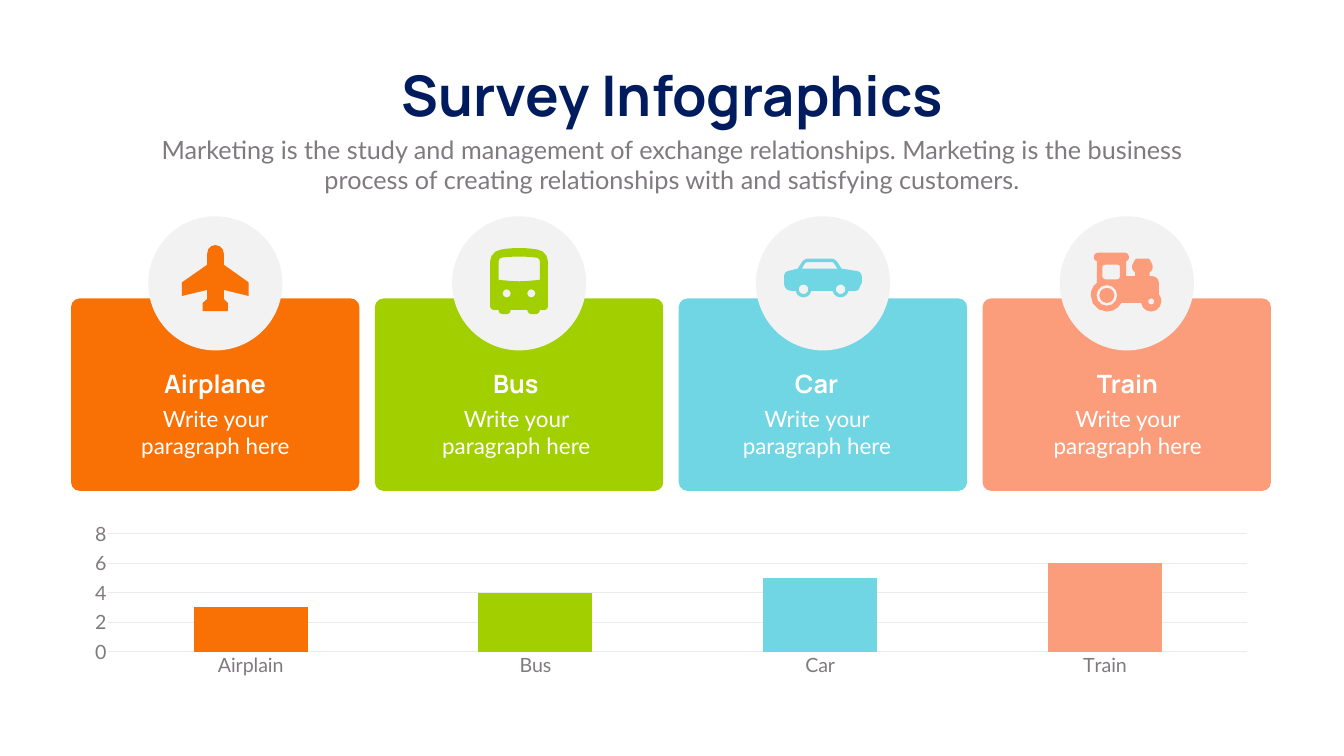
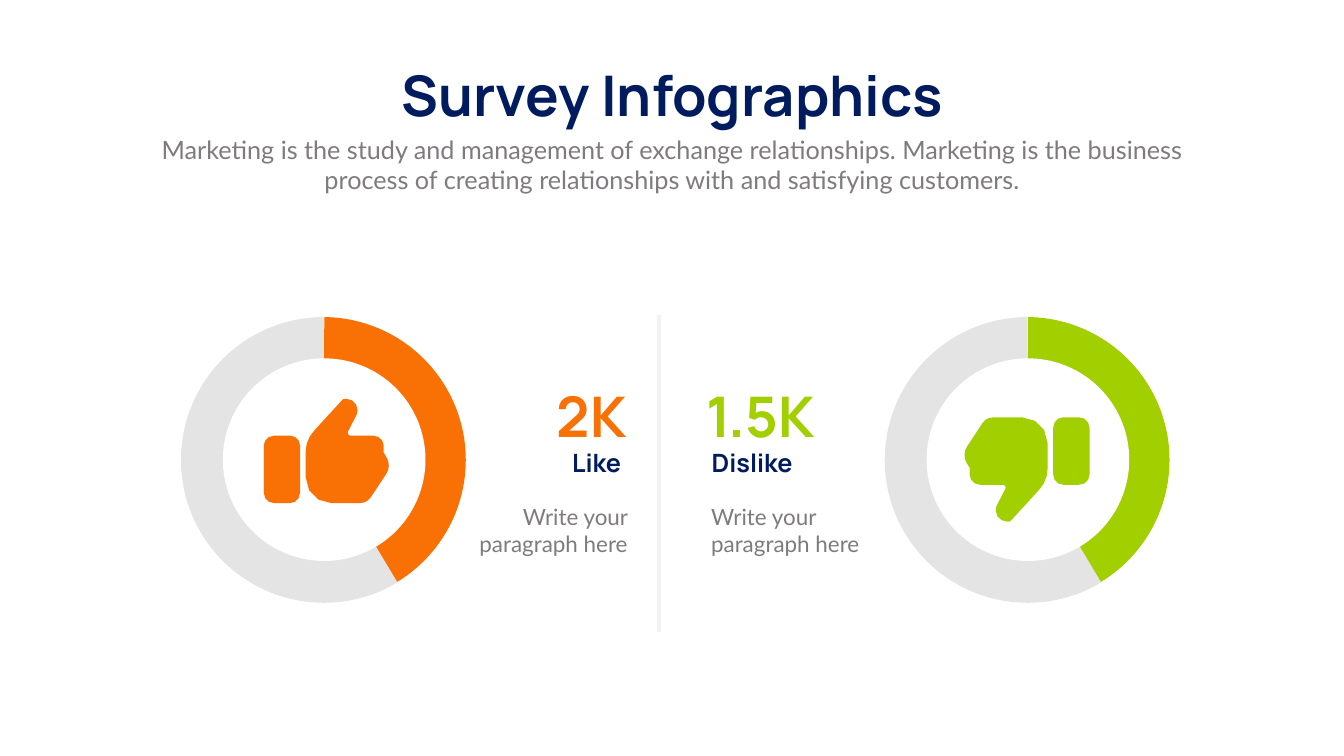
from dataclasses import dataclass
from math import cos, pi, sin

from lxml.etree import SubElement
from pptx import Presentation
from pptx.chart.data import CategoryChartData
from pptx.dml.color import RGBColor
from pptx.enum.chart import XL_CHART_TYPE, XL_TICK_MARK
from pptx.enum.shapes import MSO_CONNECTOR, MSO_SHAPE
from pptx.enum.text import MSO_AUTO_SIZE, PP_ALIGN
from pptx.oxml.ns import qn
from pptx.util import Cm, Pt


@dataclass(frozen=True)
class Theme:
    """Colours, fonts and type sizes shared by the slides."""
    navy: str = "001C5E"
    gray: str = "7F7A7E"
    white: str = "FFFFFF"
    orange: str = "F97104"
    green: str = "A1CF00"
    cyan: str = "70D6E4"
    salmon: str = "FB9D7B"
    disc: str = "F2F2F2"
    track: str = "E5E4E5"
    grid: str = "ECEBEC"
    heading: str = "Manrope"
    body: str = "Lato"
    title_size: int = 80
    label_size: int = 36
    text_size: int = 32
    axis_size: int = 28


THEME = Theme()
ICON_UNIT = Cm(2.54) / 100
TITLE = "Survey Infographics"
SUBTITLE = ("Marketing is the study and management of exchange relationships. "
            "Marketing is the business process of creating relationships with "
            "and satisfying customers.")
FILLER = "Write your paragraph here"

AIRPLANE = ((
    "132,101 132,74 83,39 83,17 83,7,75,0,66,0 57,0,50,7,50,17 50,39 0,74 0,101 "
    "50,89 50,107 41,115 41,131 91,131 91,115 83,107 83,89",
),)
BUS = ((
    "94,3 82,1,70,0,58,0 46,0,33,1,22,3 10,4,0,15,0,27 0,115 0,120,4,123,9,123 "
    "17,123 17,128,20,131,25,131 33,131 38,131,41,128,41,123 74,123 "
    "74,128,78,131,82,131 91,131 95,131,99,128,99,123 107,123 "
    "112,123,115,120,115,115 115,27 115,15,106,4,94,3",
    "24,19 31,18,43,17,58,17 72,17,84,18,92,19 96,19,99,23,99,27 99,63 "
    "89,64,72,66,58,66 43,66,26,64,17,63 17,27 17,23,20,19,24,19",
    "33,90,8", "82,90,8",
),)
CAR = ((
    "146,25 114,20 105,6 102,3,98,0,94,0 47,0 43,0,39,3,36,6 27,20 7,25 "
    "3,26,0,30,0,34 0,50 0,54,2,58,4,60 7,63,11,64,14,64 23,64 "
    "24,72,31,77,38,77 46,77,53,72,54,64 96,64 98,72,104,77,112,77 "
    "120,77,126,72,128,64 142,64 144,64,147,63,148,61 154,48 154,35 "
    "154,30,150,26,146,25",
    "35,20 41,10 43,8,45,7,47,7 94,7 96,7,98,8,99,10 106,20",
    "38.5,61,9.5", "112,61,9.5",
),)
TRAIN = (("32,85,15",), (
    "135,83 135,59 135,52,129,47,123,47 117,47 117,39 121,37,123,33,123,29 "
    "123,27,122,25,122,23 117,14 116,13,115,12,114,12 91,12 90,12,89,13,88,14 "
    "83,23 82,25,82,27,82,29 82,33,84,37,88,39 88,47 70,47 70,17 "
    "74,16,76,13,76,9 76,4,72,0,67,0 15,0 10,0,6,4,6,9 6,13,8,16,12,17 12,60 "
    "4,66,0,75,0,85 0,103,14,117,32,117 45,117,55,110,61,100 100,100 "
    "101,110,110,117,120,117 131,117,140,108,140,97 140,91,138,86,135,83",
    "58,47 58,50,56,53,53,53 29,53 26,53,23,50,23,47 23,29 23,26,26,24,29,24 "
    "53,24 56,24,58,26,58,29",
    "32,85,20.5", "120,97,6",
))
THUMB_UP = ((
    "243,115 238,107 238,93 238,82,228,73,217,73 172,73 169,73,168,71,167,70 "
    "167,69,166,67,167,65 184,32 185,29,186,26,186,22 186,10,176,0,164,0 160,0 "
    "159,0,157,1,156,2 101,62 89,74,83,90,83,107 83,155 83,184,106,207,134,207 "
    "190,207 199,207,207,203,212,196 243,149 246,144,248,138,248,132 "
    "248,126,246,120,243,115",
), (
    "52,73 21,73 9,73,0,82,0,93 0,186 0,198,9,207,21,207 52,207 "
    "63,207,72,198,72,186 72,93 72,82,63,73,52,73",
))
THUMB_SIZE = (248, 207)


def turn_over(contour):
    """Turn a contour of the thumb by half a circle."""
    steps = []
    for step in contour.split():
        values = step.split(",")
        steps.append(",".join(str(THUMB_SIZE[n % 2] - int(v)) for n, v in enumerate(values)))
    return " ".join(steps)


THUMB_DOWN = tuple(tuple(map(turn_over, part)) for part in THUMB_UP)


@dataclass(frozen=True)
class Card:
    """One means of transport and the offsets of its icon and label."""
    name: str
    category: str
    votes: int
    color: str
    icon: tuple
    icon_left: float
    icon_top: float
    label_left: float


@dataclass(frozen=True)
class Verdict:
    """One side of the vote: ring, thumb and text positions."""
    count: str
    label: str
    color: str
    ring_left: float
    thumb: tuple
    thumb_at: tuple
    count_left: float
    count_width: float
    label_left: float
    words_left: float
    align: PP_ALIGN


CARDS = (
    Card("Airplane", "Airplain", 3, THEME.orange, AIRPLANE, 1.7, 1.45, 2.16),
    Card("Bus", "Bus", 4, THEME.green, BUS, 1.91, 1.6, 2.01),
    Card("Car", "Car", 5, THEME.cyan, CAR, 1.42, 2.13, 1.85),
    Card("Train", "Train", 6, THEME.salmon, TRAIN, 1.56, 1.83, 2.2),
)
VERDICTS = (
    Verdict("1.5K", "Dislike", THEME.green, 44.53, THUMB_DOWN, (4.07, 5.05),
            35.2, 6.22, 35.61, 35.58, PP_ALIGN.LEFT),
    Verdict("2K", "Like", THEME.orange, 9.07, THUMB_UP, (4.22, 4.12),
            27.76, 4.11, 24.36, 22.13, PP_ALIGN.RIGHT),
)


def rgb(color):
    """Turn a hex string into a colour."""
    return RGBColor.from_string(color)


def paint(shape, color):
    """Give a shape a flat fill without line or shadow."""
    shape.shadow.inherit = False
    shape.fill.solid()
    shape.fill.fore_color.rgb = rgb(color)
    shape.line.fill.background()
    return shape


def style(font, name, size, color, bold=False):
    """Set the face, size, colour and weight of a font."""
    font.name, font.size, font.bold = name, Pt(size), bold
    font.color.rgb = rgb(color)


def add_preset(shapes, kind, left, top, width, height, color):
    """Add a flat preset shape."""
    return paint(shapes.add_shape(kind, Cm(left), Cm(top), Cm(width), Cm(height)), color)


def add_text(page, text, box, font, size, color, bold=False,
             align=PP_ALIGN.CENTER, wrap=True):
    """Add one paragraph of text in a box."""
    frame = page.shapes.add_textbox(*map(Cm, box)).text_frame
    frame.word_wrap = wrap
    frame.auto_size = MSO_AUTO_SIZE.SHAPE_TO_FIT_TEXT
    para = frame.paragraphs[0]
    para.text, para.alignment = text, align
    style(para.font, font, size, color, bold)


def trace(contour, steps=3):
    """List the points of a contour: pairs are corners, triples circles, sixes curves."""
    points = []
    for step in contour.split():
        values = [float(value) for value in step.split(",")]
        if len(values) == 2:
            points.append(tuple(values))
        elif len(values) == 3:
            x, y, radius = values
            turns = [2 * pi * n / (4 * steps) for n in range(4 * steps)]
            points += [(x + radius * cos(a), y + radius * sin(a)) for a in turns]
        else:
            ends = [points[-1], *zip(values[::2], values[1::2])]
            for n in range(1, steps + 1):
                t = n / steps
                weights = ((1 - t) ** 3, 3 * t * (1 - t) ** 2, 3 * t * t * (1 - t), t ** 3)
                points.append(tuple(sum(w * end[axis] for w, end in zip(weights, ends))
                                    for axis in (0, 1)))
    return [(round(x * ICON_UNIT), round(y * ICON_UNIT)) for x, y in points]


def add_icon(page, icon, left, top, color):
    """Draw each part of an icon from its contours, inner ones being holes."""
    for part in icon:
        outer, *holes = map(trace, part)
        builder = page.shapes.build_freeform(*outer[0])
        builder.add_line_segments(outer[1:], close=True)
        for hole in holes:
            builder.move_to(*hole[0])
            builder.add_line_segments(hole[1:], close=True)
        paint(builder.convert_to_shape(Cm(left), Cm(top)), color)


def add_header(page):
    """Add the title and the introduction."""
    add_text(page, TITLE, (18.86, 2.93, 30.05, 3.68), THEME.heading,
             THEME.title_size, THEME.navy, bold=True, wrap=False)
    add_text(page, SUBTITLE, (7.42, 6.63, 52.88, 3.33), THEME.body,
             THEME.label_size, THEME.gray)


def add_card(page, card, left, top):
    """Add a coloured card with its disc, icon and text."""
    panel = add_preset(page.shapes, MSO_SHAPE.ROUNDED_RECTANGLE,
                       left, top, 14.53, 9.7, card.color)
    panel.adjustments[0] = 0.045
    disc_left, disc_top = left + 3.89, top - 4.14
    add_preset(page.shapes, MSO_SHAPE.OVAL, disc_left, disc_top, 6.76, 6.76, THEME.disc)
    add_icon(page, card.icon, disc_left + card.icon_left, disc_top + card.icon_top, card.color)
    label_left = left + card.label_left
    add_text(page, card.name, (label_left, top + 3.41, 10.19, 1.8), THEME.heading,
             THEME.label_size, THEME.white, bold=True)
    add_text(page, FILLER, (label_left + 0.38, top + 5.25, 9.47, 3), THEME.body,
             THEME.text_size, THEME.white)


def add_votes_chart(page, left, top, width, height):
    """Add the column chart with one colour per card."""
    data = CategoryChartData()
    data.categories = [card.category for card in CARDS]
    data.add_series("Series 1", [card.votes for card in CARDS])
    chart = page.shapes.add_chart(XL_CHART_TYPE.COLUMN_STACKED, Cm(left), Cm(top),
                                  Cm(width), Cm(height), data).chart
    chart.has_legend = chart.has_title = False
    style(chart.font, "Quicksand", 20, THEME.gray)
    plot = chart.plots[0]
    plot.gap_width, plot.overlap, plot.vary_by_categories = 150, 100, False
    series = plot.series[0]
    fills = [series.format.fill, *(series.points[n].format.fill for n in range(len(CARDS)))]
    for fill, color in zip(fills, (THEME.cyan, *(card.color for card in CARDS))):
        fill.solid()
        fill.fore_color.rgb = rgb(color)
    categories, values = chart.category_axis, chart.value_axis
    for axis in (categories, values):
        axis.major_tick_mark = axis.minor_tick_mark = XL_TICK_MARK.NONE
        style(axis.tick_labels.font, THEME.body, THEME.axis_size, THEME.gray)
    values.minimum_scale, values.maximum_scale, values.major_unit = 0, 8, 2
    values.has_major_gridlines = True
    values.format.line.fill.background()
    for line in (categories.format.line, values.major_gridlines.format.line):
        line.color.rgb, line.width = rgb(THEME.grid), Pt(0.75)


def add_ring(page, left, top, color):
    """Add a ring made of two pies and a white centre."""
    shapes = page.shapes.add_group_shape().shapes
    for shift, start, end, shade in ((0, 270.6, 60, color), (0.05, 59, 270, THEME.track)):
        pie = add_preset(shapes, MSO_SHAPE.PIE, left + shift, top, 14.4, 14.4, shade)
        pie.adjustments[0], pie.adjustments[1] = start * 0.6, end * 0.6
    add_preset(shapes, MSO_SHAPE.OVAL, left + 2.16, top + 2.08, 10.21, 10.21, THEME.white)


def add_verdict(page, verdict, top):
    """Add one side of the vote."""
    add_ring(page, verdict.ring_left, top, verdict.color)
    across, down = verdict.thumb_at
    add_icon(page, verdict.thumb, verdict.ring_left + across, top + down, verdict.color)
    add_text(page, verdict.count, (verdict.count_left, top + 3.12, verdict.count_width, 3.68),
             THEME.heading, THEME.title_size, verdict.color, bold=True, wrap=False)
    add_text(page, verdict.label, (verdict.label_left, top + 6.45, 7.19, 1.8),
             THEME.heading, THEME.label_size, THEME.navy, bold=True, align=verdict.align)
    add_text(page, FILLER, (verdict.words_left, top + 9.24, 9.75, 3),
             THEME.body, THEME.text_size, THEME.gray, align=verdict.align)


def add_divider(page, x, top, bottom):
    """Add the upright line between the two sides."""
    line = page.shapes.add_connector(MSO_CONNECTOR.STRAIGHT, Cm(x), Cm(top), Cm(x), Cm(bottom))
    line.line.color.rgb, line.line.width = rgb(THEME.disc), Pt(6)
    SubElement(line._element.spPr, qn("a:effectLst"))


def main():
    """Build and save the deck."""
    deck = Presentation()
    deck.slide_width, deck.slide_height = Cm(67.72), Cm(38.1)
    transport, opinion = (deck.slides.add_slide(deck.slide_layouts[6]) for _ in range(2))
    for page in (transport, opinion):
        add_header(page)
    for number, card in enumerate(CARDS):
        add_card(transport, card, 3.58 + 15.31 * number, 15.04)
    add_votes_chart(transport, 3.58, 26.14, 60.48, 8.15)
    for verdict in VERDICTS:
        add_verdict(opinion, verdict, 15.98)
    add_divider(opinion, 33.19, 15.9, 31.83)
    deck.save("out.pptx")


if __name__ == "__main__":
    main()
